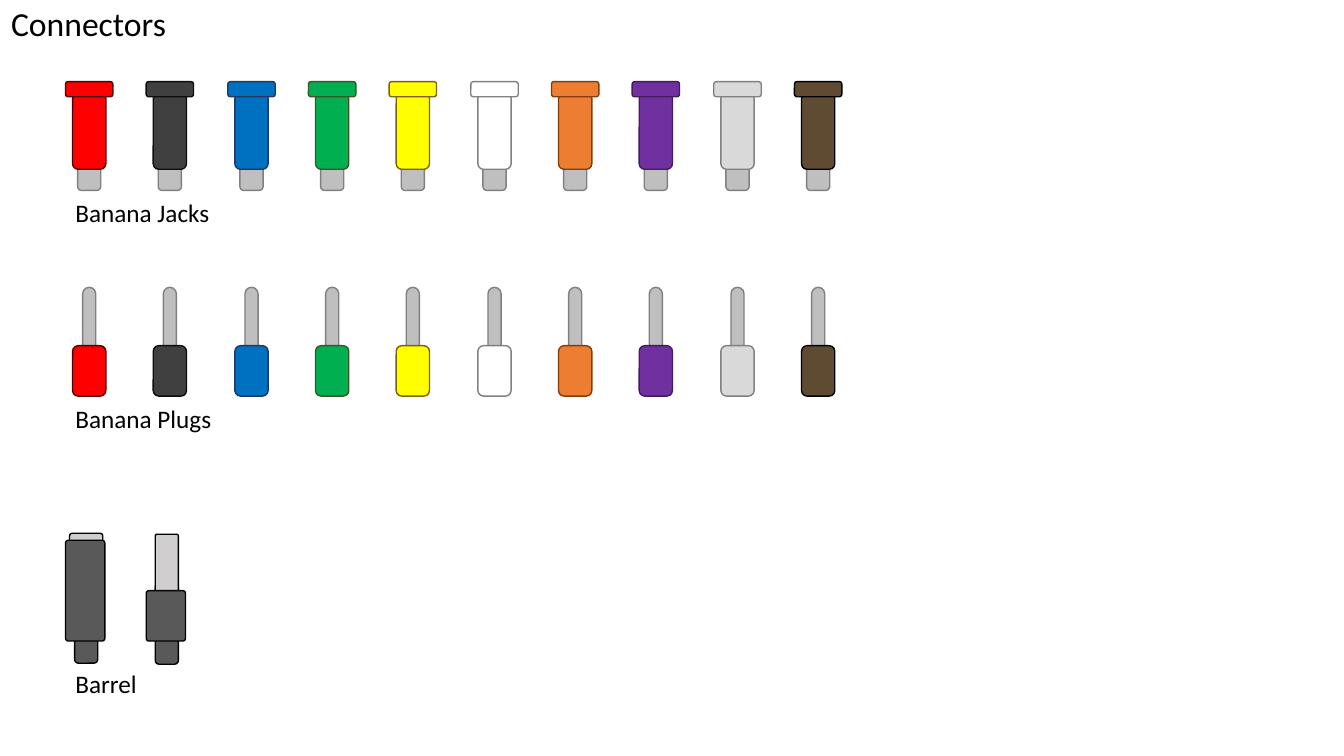
from dataclasses import dataclass

from pptx import Presentation
from pptx import util as u
from pptx.dml.color import RGBColor
from pptx.enum import shapes, text


@dataclass(frozen=True)
class Theme:
    font: str = "Calibri"
    ink: str = "000000"
    title_size: int = 24
    label_size: int = 18
    line_width: int = 1
    metal: tuple = ("BFBFBF", "808080")
    steel: tuple = ("D0CECE", "000000")
    rubber: tuple = ("595959", "000000")


THEME = Theme()
PX = 9144  # EMU per px, 100 px to the inch
SLIDE_SIZE = (1333, 750)

TITLE = ("Connectors", (1, -2, 175, 50))
LABELS = [
    ("Banana Jacks", (65, 191, 154, 40)),
    ("Banana Plugs", (65, 395, 156, 40)),
    ("Barrel", (65, 658, 82, 40)),
]

# Fill and outline of each banana connector, left to right
BANANA_COLOURS = [
    ("FF0000", "540000"),
    ("404040", "0D0D0D"),
    ("0070C0", "203864"),
    ("00B050", "385723"),
    ("FFFF00", "806000"),
    ("FFFFFF", "808080"),
    ("ED7D31", "843C0B"),
    ("7030A0", "421C5E"),
    ("D9D9D9", "808080"),
    ("5E4B32", "000000"),
]
FIRST_LEFT, LAST_LEFT = 65, 788

# Parts from back to front: left offset, top, width, height, corner, colours.
# Corner None keeps the preset radius; colours None takes the connector's own.
BANANA_JACK = [
    (12, 146, 23, 43, None, THEME.metal),
    (7, 92, 33, 76, None, None),
    (0, 81, 47, 15, None, None),
]
BANANA_PLUG = [
    (17, 285, 13, 71, 0.5, THEME.metal),
    (12, 350, 23, 43, None, THEME.metal),
    (7, 343, 33, 50, None, None),
]
BARREL_JACK = [
    (4, 529, 33, 35, 0.08, THEME.steel),
    (9, 578, 23, 80, None, THEME.rubber),
    (0, 536, 39, 100, 0.07, THEME.rubber),
]
BARREL_PLUG = [
    (9, 579, 23, 80, None, THEME.rubber),
    (9, 530, 23, 75, 0.08, THEME.steel),
    (0, 586, 39, 50, 0.07, THEME.rubber),
]


def emu(lengths):
    return [u.Emu(length * PX) for length in lengths]


def draw_connector(slide, left, parts, own_colours=None):
    """Draw the parts of one connector as a group."""
    group = slide.shapes.add_group_shape()
    for offset, top, width, height, corner, colours in parts:
        shape = group.shapes.add_shape(
            shapes.MSO_SHAPE.ROUNDED_RECTANGLE,
            *emu((left + offset, top, width, height)))
        if corner is not None:
            shape.adjustments[0] = corner
        fill, outline = colours or own_colours
        shape.shadow.inherit = False
        shape.fill.solid()
        shape.fill.fore_color.rgb = RGBColor.from_string(fill)
        shape.line.color.rgb = RGBColor.from_string(outline)
        shape.line.width = u.Pt(THEME.line_width)


def write(shape, wording, box, size):
    shape.left, shape.top, shape.width, shape.height = emu(box)
    frame = shape.text_frame
    frame.text = wording
    frame.word_wrap = False
    frame.auto_size = text.MSO_AUTO_SIZE.SHAPE_TO_FIT_TEXT
    frame.vertical_anchor = text.MSO_ANCHOR.TOP
    paragraph = frame.paragraphs[0]
    paragraph.alignment = text.PP_ALIGN.LEFT
    font = paragraph.runs[0].font
    font.name = THEME.font
    font.size = u.Pt(size)
    font.color.rgb = RGBColor.from_string(THEME.ink)


def main():
    presentation = Presentation()
    presentation.slide_width, presentation.slide_height = emu(SLIDE_SIZE)
    slide = presentation.slides.add_slide(presentation.slide_layouts[5])
    write(slide.shapes.title, *TITLE, THEME.title_size)

    pitch = (LAST_LEFT - FIRST_LEFT) / (len(BANANA_COLOURS) - 1)
    lefts = [round(FIRST_LEFT + i * pitch) for i in range(len(BANANA_COLOURS))]
    for parts in (BANANA_JACK, BANANA_PLUG):
        for left, colours in zip(lefts, BANANA_COLOURS):
            draw_connector(slide, left, parts, colours)
    for left, parts in zip(lefts, (BARREL_JACK, BARREL_PLUG)):
        draw_connector(slide, left, parts)

    for wording, box in LABELS:
        write(slide.shapes.add_textbox(*emu(box)), wording, box, THEME.label_size)
    presentation.save("out.pptx")


if __name__ == "__main__":
    main()
